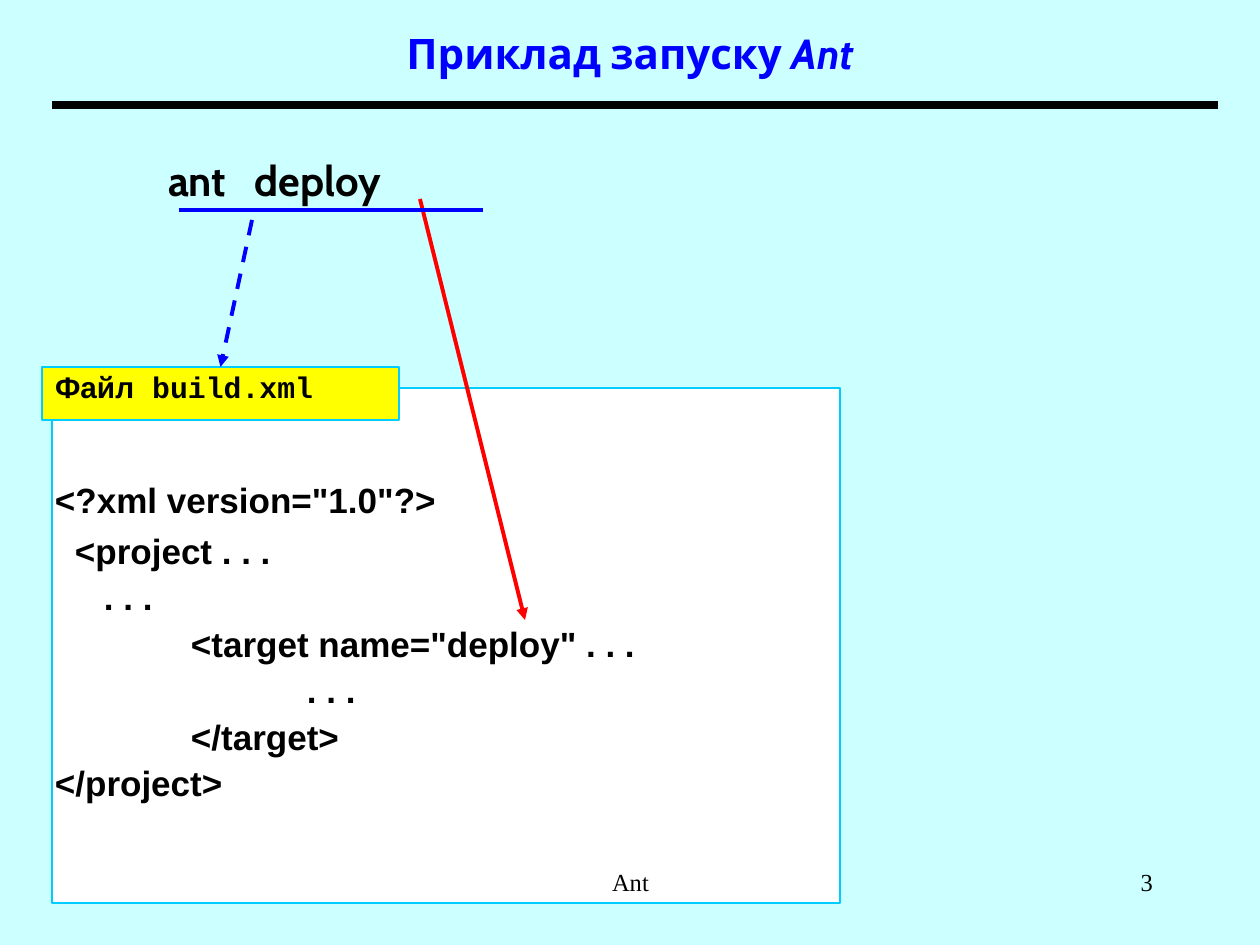
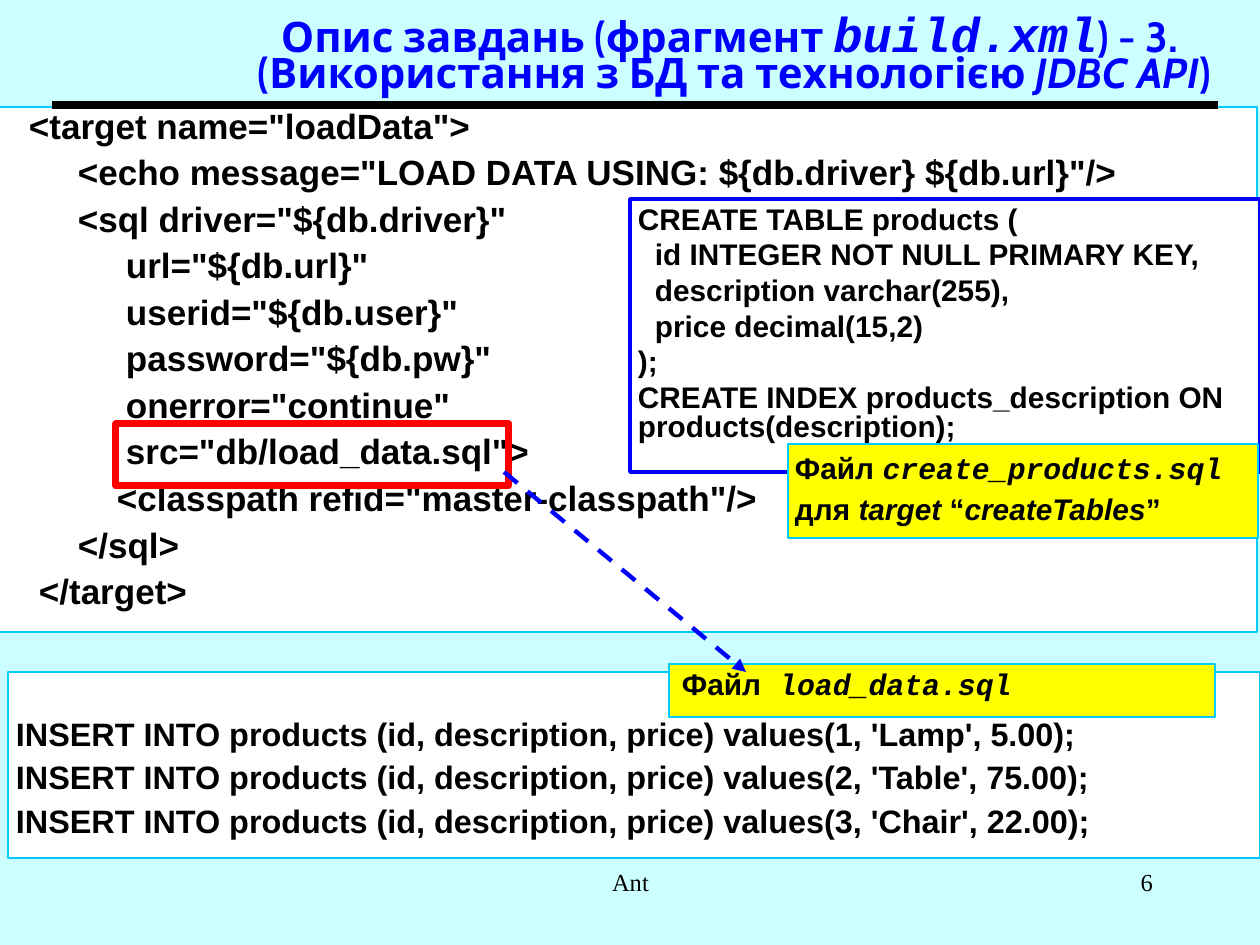
"""Build two slides that explain how Ant runs targets from build.xml."""
from lxml import etree
from pptx import Presentation, util as u
from pptx.dml.color import RGBColor
from pptx.enum import dml, shapes, text
from pptx.oxml.ns import qn

PX = 914400 / 126
BACK, WHITE, YELLOW, CYAN = "CCFFFF", "FFFFFF", "FFFF00", "00CCFF"
BLUE, RED, BLACK = "0000FF", "FF0000", "000000"
LEFT, CENTER, RIGHT = text.PP_ALIGN.LEFT, text.PP_ALIGN.CENTER, text.PP_ALIGN.RIGHT
MONO = {"name": "Courier New"}
ITALIC = {"italic": True}
MONO_ITALIC = MONO | ITALIC

TITLE = dict(font="Cabin", size=24, color=BLUE, align=CENTER, middle=True)
COMMAND = dict(font="Cabin", size=24, spacing=0.8, insets=(0, 6, 0, 6))
CODE = dict(size=20, spacing=0.9, before=5, insets=(3, 2, 0, 1), fill=WHITE, edge=CYAN)
SQL = dict(size=17, spacing=0.8, before=4.2, insets=(8, 11, 0, 1), fill=WHITE, edge=BLUE, edge_pt=2)
INSERTS = CODE | dict(size=18.5, insets=(8, 50, 0, 1))
FILE_LABEL = dict(size=17, spacing=0.9, fill=YELLOW, edge=CYAN)
FILE_NOTE = dict(size=17, before=3, insets=(7, 6, 2, 6), fill=YELLOW, edge=CYAN)
MARK = dict(edge=RED, edge_pt=4)
FOOTER = dict(font="Times New Roman", size=14, bold=False)

RULE = ("line", (52, 105, 1218, 105), dict(color=BLACK, width=4.5))

LAUNCH = [
    ("box", (94, 0, 1072, 105), [(0, ["Приклад запуску", (" Ant", ITALIC)])], TITLE),
    ("box", (168, 158, 80, 60), [(0, ["ant"])], COMMAND),
    ("box", (255, 158, 160, 60), [(0, ["deploy"])], COMMAND),
    RULE,
    ("box", (52, 388, 788, 515), [
        (0, ['<?xml version="1.0"?>']),
        (20, ["<project . . ."], 1.0),
        (49, [". . ."]),
        (136, ['<target name="deploy" . . .']),
        (252, [". . ."]),
        (136, ["</target>"]),
        (0, ["</project>"]),
    ], CODE | dict(insets=(3, 95, 0, 1))),
    ("box", (42, 367, 357, 53), [(0, ["Файл", (" build.xml", MONO)])], FILE_LABEL),
    ("line", (420, 199, 525, 620), dict(color=RED, width=2.25, arrow=True)),
    ("line", (252, 220, 220, 367),
     dict(color=BLUE, width=2.25, arrow=True, dashed=True, to_top_of=5)),
    ("line", (179, 210, 483, 210), dict(color=BLUE, width=2.25)),
]

LOAD_DATA = [
    ("box", (199, 10, 1061, 95), [
        (0, ["Опис завдань (фрагмент ", ("build.xml", MONO_ITALIC | {"size": u.Pt(28)}), ") - 3.\v",
             " (Використання з БД та технологією ", ("JDBC API", ITALIC), ")"]),
    ], TITLE | dict(spacing=0.7)),
    ("box", (-3, 107, 1260, 525), [
        (29, ['<target name="loadData">']),
        (78, ['<echo message="LOAD DATA USING: ${db.driver} ${db.url}"/>']),
        (78, ['<sql driver="${db.driver}"']),
        (126, ['url="${db.url}"']),
        (126, ['userid="${db.user}"']),
        (126, ['password="${db.pw}"']),
        (126, ['onerror="continue"']),
        (126, ['src="db/load_data.sql">']),
        (117, ['<classpath refid="master-classpath"/>']),
        (78, ["</sql>"]),
        (39, ["</target>"]),
    ], CODE),
    RULE,
    ("box", (116, 424, 393, 62), [], MARK),
    ("box", (8, 672, 1252, 186), [
        (0, ["INSERT INTO products (id, description, price) values(1, 'Lamp', 5.00);"], 0.8),
        (0, ["INSERT INTO products (id, description, price) values(2, 'Table', 75.00);"]),
        (0, ["INSERT INTO products (id, description, price) values(3, 'Chair', 22.00);"]),
    ], INSERTS),
    ("box", (669, 664, 546, 53), [(0, ["Файл", (" load_data.sql", MONO_ITALIC)])], FILE_LABEL),
    ("line", (504, 472, 746, 672), dict(color=BLUE, width=2.5, arrow=True, dashed=True)),
    ("box", (630, 199, 630, 273), [
        (0, ["CREATE TABLE products ("], 0.7),
        (17, ["id INTEGER NOT NULL PRIMARY KEY,"]),
        (17, ["description varchar(255),"]),
        (17, ["price decimal(15,2)"]),
        (0, [");"]),
        (0, ["CREATE INDEX products_description ON products(description);"]),
    ], SQL),
    ("box", (788, 444, 470, 94), [
        (0, ["Файл ", ("create_products.sql", MONO_ITALIC)]),
        (0, ["для ", ("target", ITALIC), " “", ("createTables", ITALIC), "”"]),
    ], FILE_NOTE),
]

SLIDES = [(3, LAUNCH), (6, LOAD_DATA)]


def px(length):
    return u.Emu(round(length * PX))


def rgb(value):
    return RGBColor.from_string(value)


def write_paragraph(paragraph, indent, pieces, spacing, before, align, font, size, bold, color):
    paragraph.alignment = align
    paragraph.line_spacing = spacing
    paragraph.space_before = u.Pt(before)
    base = paragraph.font
    base.name, base.size, base.bold = font, u.Pt(size), bold
    base.color.rgb = rgb(color)
    properties = paragraph._p.get_or_add_pPr()
    properties.set("marL", str(px(indent)))
    properties.set("indent", "0")
    for piece in pieces:
        wording, changes = piece if isinstance(piece, tuple) else (piece, {})
        run = paragraph.add_run()
        run.text = wording.rstrip("\v")
        for key, value in changes.items():
            setattr(run.font, key, value)
        if wording.endswith("\v"):
            paragraph.add_line_break()


def add_box(slide, at, lines, fill=None, edge=None, edge_pt=1, insets=(13, 6, 13, 6), middle=False,
            font="Arial", size=17, bold=True, color=BLACK, align=LEFT, spacing=1.0, before=0):
    place = [px(length) for length in at]
    if edge:
        box = slide.shapes.add_shape(shapes.MSO_SHAPE.RECTANGLE, *place)
        box.shadow.inherit = False
        box.line.color.rgb = rgb(edge)
        box.line.width = u.Pt(edge_pt)
        if fill:
            box.fill.solid()
            box.fill.fore_color.rgb = rgb(fill)
        else:
            box.fill.background()
    else:
        box = slide.shapes.add_textbox(*place)
    frame = box.text_frame
    frame.word_wrap = True
    frame.vertical_anchor = text.MSO_ANCHOR.MIDDLE if middle else text.MSO_ANCHOR.TOP
    (frame.margin_left, frame.margin_top,
     frame.margin_right, frame.margin_bottom) = map(px, insets)
    for number, (indent, pieces, *own_spacing) in enumerate(lines):
        paragraph = frame.add_paragraph() if number else frame.paragraphs[0]
        write_paragraph(paragraph, indent, pieces, own_spacing[0] if own_spacing else spacing,
                        before, align, font, size, bold, color)
    return box


def add_line(slide, ends, drawn, color, width, arrow=False, dashed=False, to_top_of=None):
    line = slide.shapes.add_connector(shapes.MSO_CONNECTOR.STRAIGHT, *map(px, ends))
    line.line.color.rgb = rgb(color)
    line.line.width = u.Pt(width)
    if dashed:
        line.line.dash_style = dml.MSO_LINE.DASH
    outline = line._element.spPr.find(qn("a:ln"))
    if arrow:
        etree.SubElement(outline, qn("a:tailEnd"), type="triangle")
    outline.addnext(etree.Element(qn("a:effectLst")))
    if to_top_of is not None:
        line.end_connect(drawn[to_top_of], 0)
    return line


def build_slide(deck, number, parts):
    slide = deck.slides.add_slide(deck.slide_layouts[6])
    slide.background.fill.solid()
    slide.background.fill.fore_color.rgb = rgb(BACK)
    drawn = []
    for kind, at, *details in parts:
        if kind == "box":
            lines, style = details
            drawn.append(add_box(slide, at, lines, **style))
        else:
            drawn.append(add_line(slide, at, drawn, **details[0]))
    add_box(slide, (431, 861, 399, 63), [(0, ["Ant"])], align=CENTER, **FOOTER)
    add_box(slide, (904, 861, 262, 63), [(0, [str(number)])], align=RIGHT, **FOOTER)


def main():
    deck = Presentation()
    deck.slide_width, deck.slide_height = px(1260), px(945)
    for number, parts in SLIDES:
        build_slide(deck, number, parts)
    deck.save("out.pptx")


if __name__ == "__main__":
    main()
